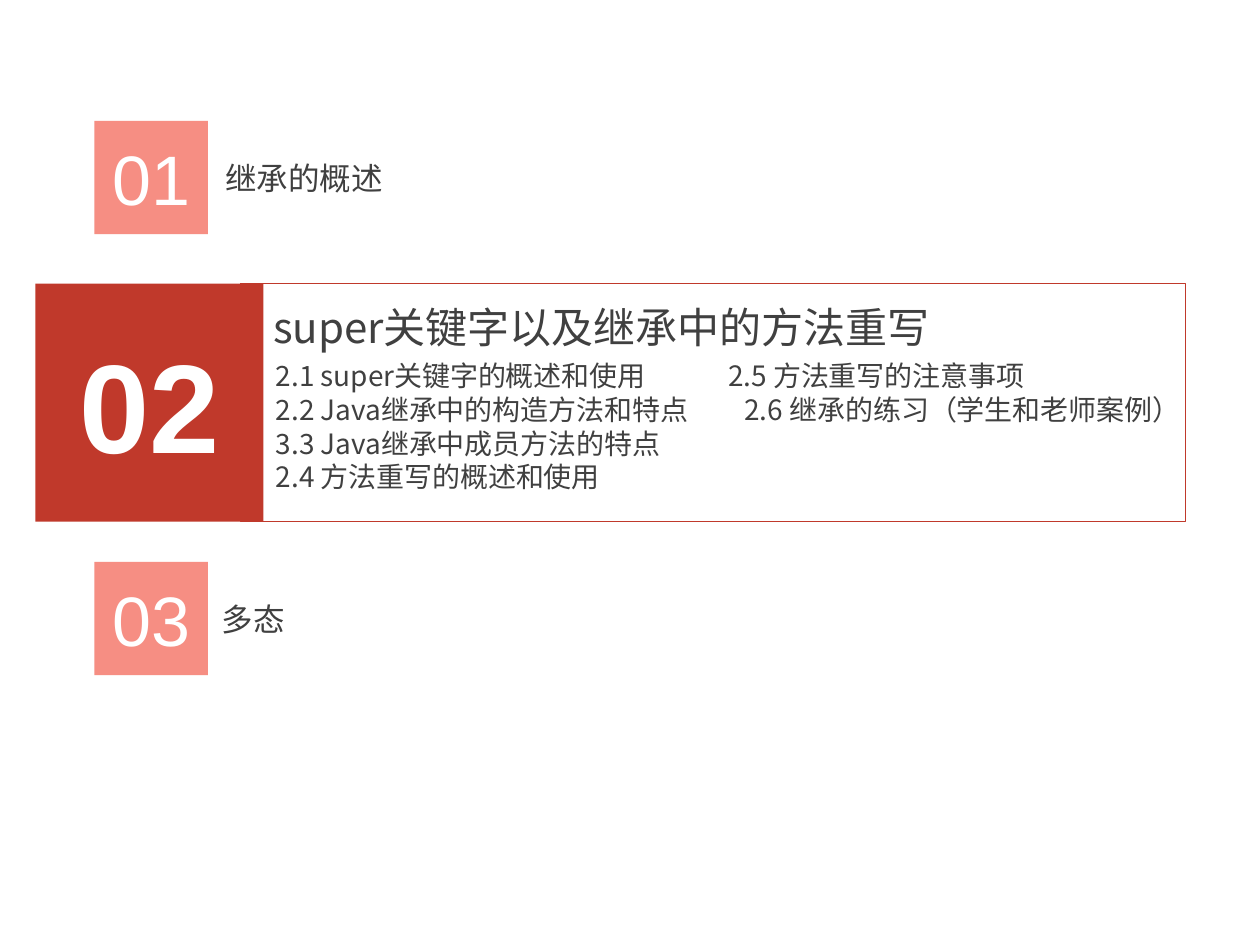
from lxml import etree
from pptx import Presentation
from pptx.dml.color import RGBColor
from pptx.enum.shapes import MSO_SHAPE as Shape
from pptx.enum.text import MSO_ANCHOR as Anchor, PP_ALIGN as Align
from pptx.oxml.ns import qn
from pptx.util import Emu, Inches, Pt

RED = RGBColor(0xC0, 0x39, 0x2B)
CORAL = RGBColor(0xF4, 0x72, 0x64)
WHITE = RGBColor(0xFF, 0xFF, 0xFF)
GREY = RGBColor(0x40, 0x40, 0x40)
LATIN, CJK = "Arial", "Noto Sans CJK SC"

SLIDE_W, SLIDE_H = 10, 7.5
TILE = 0.09 * SLIDE_W
TILE_LEFT = 0.075 * SLIDE_W
ACTIVE_BOX = (0.28, 0.3 * SLIDE_H, 9.13, 1.89)

# Each line of the active chapter: text and the tab stop of its second column
TOPICS = [
    ("2.1 super关键字的概述和使用\t2.5 方法重写的注意事项", 3.59),
    ("2.2 Java继承中的构造方法和特点\t2.6 继承的练习（学生和老师案例）", 3.72),
    ("3.3 Java继承中成员方法的特点", None),
    ("2.4 方法重写的概述和使用", None),
]


def write(frame, lines, size, color=GREY, font=CJK, bold=False,
          align=Align.LEFT, anchor=Anchor.TOP, pitch=None):
    """Fill a text frame with (text, tab stop) lines in one format."""
    frame.word_wrap = True
    frame.vertical_anchor = anchor
    for index, (text, tab) in enumerate(lines):
        line = frame.add_paragraph() if index else frame.paragraphs[0]
        line.alignment = align
        if pitch:
            line.line_spacing = Pt(pitch * size)
        if tab:
            stops = etree.SubElement(line._p.get_or_add_pPr(), qn("a:tabLst"))
            etree.SubElement(stops, qn("a:tab"), pos=str(Inches(tab)), algn="l")
        run = line.add_run()
        run.text = text
        run.font.size, run.font.bold = Pt(size), bold
        run.font.name, run.font.color.rgb = font, color
        etree.SubElement(run._r.get_or_add_rPr(), qn("a:ea"), typeface=font)


def add_text(slide, box, lines, size):
    frame = slide.shapes.add_textbox(*map(Inches, box)).text_frame
    write(frame, lines, size, pitch=1.2)


def add_box(slide, box, fill=None, line=None):
    shape = slide.shapes.add_shape(Shape.RECTANGLE, *map(Inches, box))
    shape.shadow.inherit = False
    if fill is None:
        shape.fill.background()
    else:
        shape.fill.solid()
        shape.fill.fore_color.rgb = fill
    if line is None:
        shape.line.fill.background()
    else:
        shape.line.color.rgb, shape.line.width = line, Pt(0.5)
    return shape


def add_number(slide, box, number, size, fill, bold=False):
    tile = add_box(slide, box, fill=fill)
    write(tile.text_frame, [(number, None)], size, color=WHITE, font=LATIN,
          bold=bold, align=Align.CENTER, anchor=Anchor.MIDDLE)
    return tile


def add_chapter(slide, box, number, title, title_left):
    """Inactive chapter: a translucent number tile and its title."""
    left, top, width, height = box
    tile = add_number(slide, (left, top, height, height), number, 40, CORAL)
    color = tile.fill._xPr.find(qn("a:solidFill"))[0]
    etree.SubElement(color, qn("a:alpha"), val="80000")
    title_box = (left + title_left, top + 0.25, width - title_left, 0.4)
    add_text(slide, title_box, [(title, None)], 18)


def add_active_chapter(slide, box, number, title, topics):
    """Current chapter: a large number, a title and topics in a frame."""
    left, top, width, height = box
    add_number(slide, (left, top, 1.81, height), number, 72, RED, bold=True)
    add_text(slide, (left + 1.79, top + 0.09, width - 1.79, 0.5), [(title, None)], 24)
    add_text(slide, (left + 1.81, top + 0.55, width - 1.61, 1.18), topics, 16)
    add_box(slide, (left + 1.63, top, width - 1.63, height), line=RED)


def main():
    deck = Presentation()
    deck.slide_width, deck.slide_height = Inches(SLIDE_W), Inches(SLIDE_H)
    slide = deck.slides.add_slide(deck.slide_layouts[6])
    add_active_chapter(slide, ACTIVE_BOX, "02", "super关键字以及继承中的方法重写", TOPICS)
    add_chapter(slide, (TILE_LEFT, 0.96, 3, TILE), "01", "继承的概述", 0.94)
    add_chapter(slide, (TILE_LEFT, 4.46, 3, TILE), "03", "多态", 0.91)
    deck.save("out.pptx")


if __name__ == "__main__":
    main()
